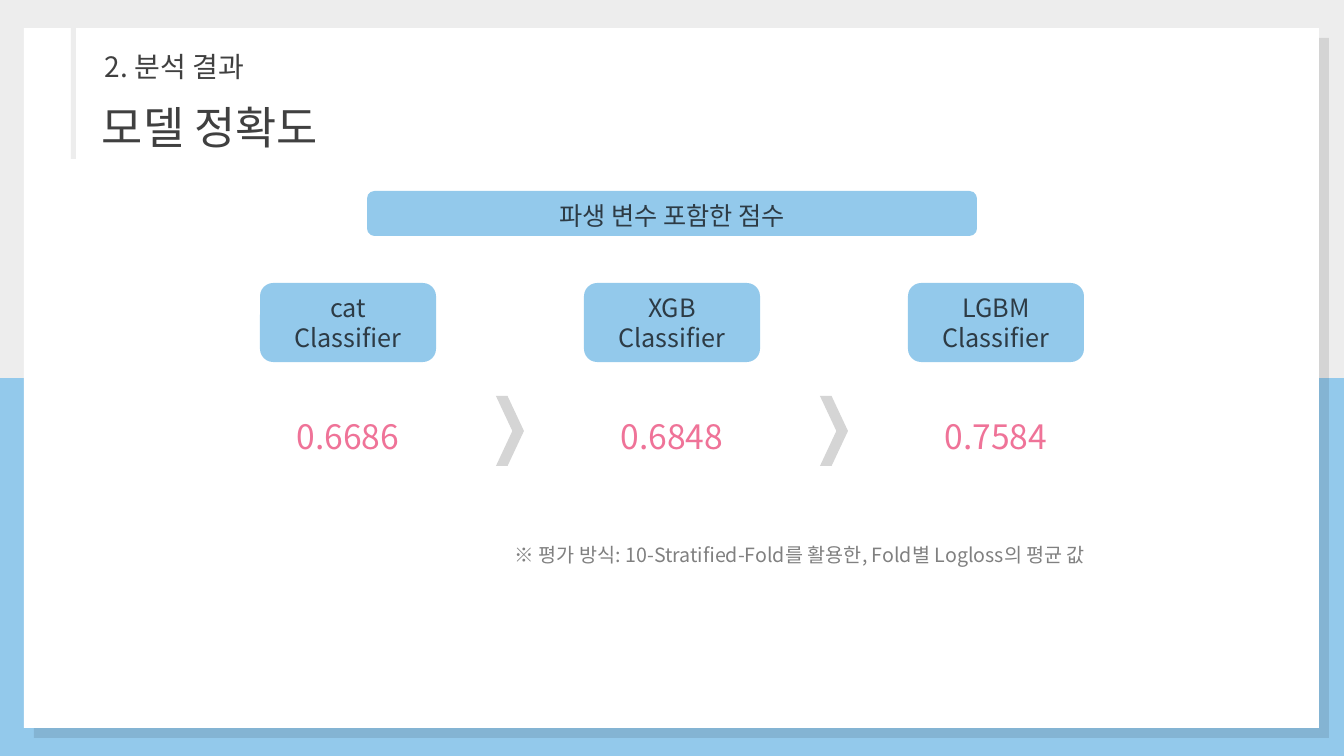
"""Build the model accuracy slide with three classifier scores."""
from lxml import etree
from pptx import Presentation
from pptx.dml.color import RGBColor
from pptx.enum.shapes import MSO_SHAPE
from pptx.enum.text import MSO_ANCHOR, PP_ALIGN
from pptx.oxml.ns import qn
from pptx.util import Pt

RECTANGLE, ROUNDED = MSO_SHAPE.RECTANGLE, MSO_SHAPE.ROUNDED_RECTANGLE
CHEVRON = MSO_SHAPE.CHEVRON
LEFT, CENTER = PP_ALIGN.LEFT, PP_ALIGN.CENTER
TOP, MIDDLE = MSO_ANCHOR.TOP, MSO_ANCHOR.MIDDLE

SECTION = "2. 분석 결과"
TITLE = "모델 정확도"
BANNER = "파생 변수 포함한 점수"
MODELS = [("cat", "0.6686"), ("XGB", "0.6848"), ("LGBM", "0.7584")]
NOTE = "※ 평가 방식: 10-Stratified-Fold를 활용한, Fold별 Logloss의 평균 값"

FONT = "Noto Sans CJK KR"
BLUE, GRAY, WHITE, SILVER = "93C9EB", "EDEDED", "FFFFFF", "D5D5D5"
DARK, INK, PINK, MUTED = "404040", "2D3B45", "EF7398", "808080"
EMU_PER_PX = 914400 / 100.8
MODEL_LEFT, MODEL_PITCH = 260, 324


def px(length):
    return round(length * EMU_PER_PX)


def color(hex_string):
    return RGBColor.from_string(hex_string)


def add_shape(slide, kind, box, fill):
    shape = slide.shapes.add_shape(kind, *map(px, box))
    shape.shadow.inherit = False
    shape.fill.solid()
    shape.fill.fore_color.rgb = color(fill)
    shape.line.fill.background()
    return shape


def add_text_box(slide, box):
    return slide.shapes.add_textbox(*map(px, box))


def write(shape, text, size, ink, align=LEFT, anchor=TOP, leading=1.3):
    frame = shape.text_frame
    frame.word_wrap = True
    frame.vertical_anchor = anchor
    frame.text = text
    for paragraph in frame.paragraphs:
        paragraph.alignment = align
        paragraph.line_spacing = Pt(round(size * leading, 1))
        for run in paragraph.runs:
            run.font.size = Pt(size)
            run.font.name = FONT
            run.font.color.rgb = color(ink)
            east_asian = etree.SubElement(run.font._element, qn("a:ea"))
            east_asian.set("typeface", FONT)


def add_drop_shadow(shape, distance, opacity):
    effects = shape._element.spPr.find(qn("a:effectLst"))
    shadow = etree.SubElement(effects, qn("a:outerShdw"), blurRad="0",
                              dist=str(Pt(distance)), dir=str(45 * 60000),
                              algn="tl", rotWithShape="0")
    black = etree.SubElement(shadow, qn("a:srgbClr"), val="000000")
    etree.SubElement(black, qn("a:alpha"), val=str(opacity * 1000))


def main():
    presentation = Presentation()
    presentation.slide_width, presentation.slide_height = px(1344), px(756)
    slide = presentation.slides.add_slide(presentation.slide_layouts[6])
    slide.background.fill.solid()
    slide.background.fill.fore_color.rgb = color(BLUE)

    add_shape(slide, RECTANGLE, (0, 0, 1344, 378), GRAY)
    card = add_shape(slide, RECTANGLE, (24, 28, 1295, 700), WHITE)
    add_drop_shadow(card, distance=10, opacity=10)
    add_shape(slide, RECTANGLE, (71, 28, 5, 131), GRAY)

    write(add_text_box(slide, (95, 42, 256, 44)), SECTION, 20, DARK)
    write(add_text_box(slide, (92, 90, 308, 65)), TITLE, 32, DARK)
    banner = add_shape(slide, ROUNDED, (367, 191, 610, 45), BLUE)
    write(banner, BANNER, 18, INK, align=CENTER)

    for index, (model, score) in enumerate(MODELS):
        left = MODEL_LEFT + index * MODEL_PITCH
        label = add_shape(slide, ROUNDED, (left, 283, 176, 79), BLUE)
        write(label, f"{model}\nClassifier", 18, INK, align=CENTER,
              anchor=MIDDLE, leading=1.2)
        score_box = add_text_box(slide, (left + 15, 388, 146, 66))
        write(score_box, score, 24, PINK, align=CENTER, leading=1.87)
        if index < len(MODELS) - 1:
            chevron = add_shape(slide, CHEVRON, (left + 236, 396, 28, 70), SILVER)
            chevron.adjustments[0] = 0.585

    write(add_text_box(slide, (505, 536, 734, 34)), NOTE, 14, MUTED)
    presentation.save("out.pptx")


if __name__ == "__main__":
    main()
